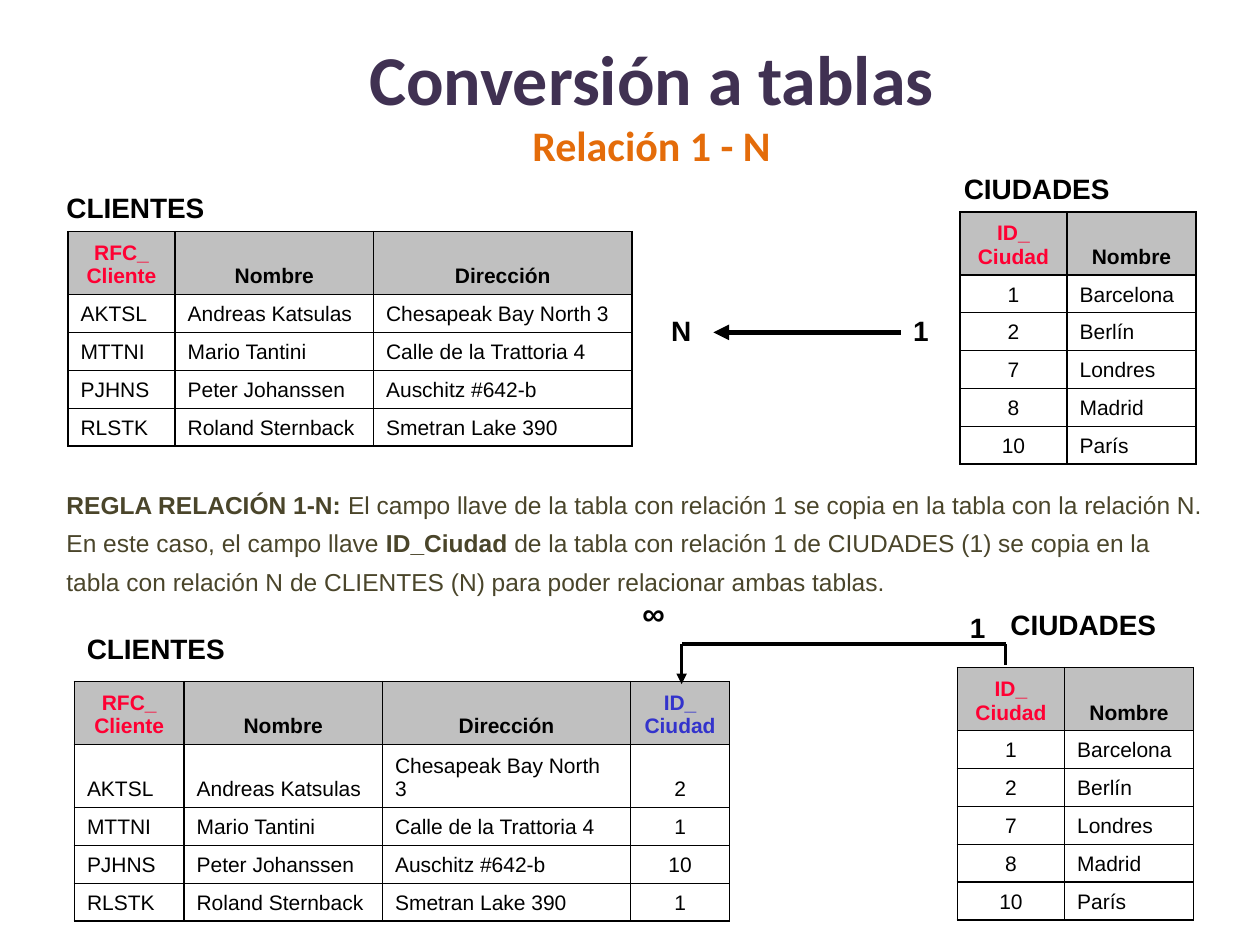
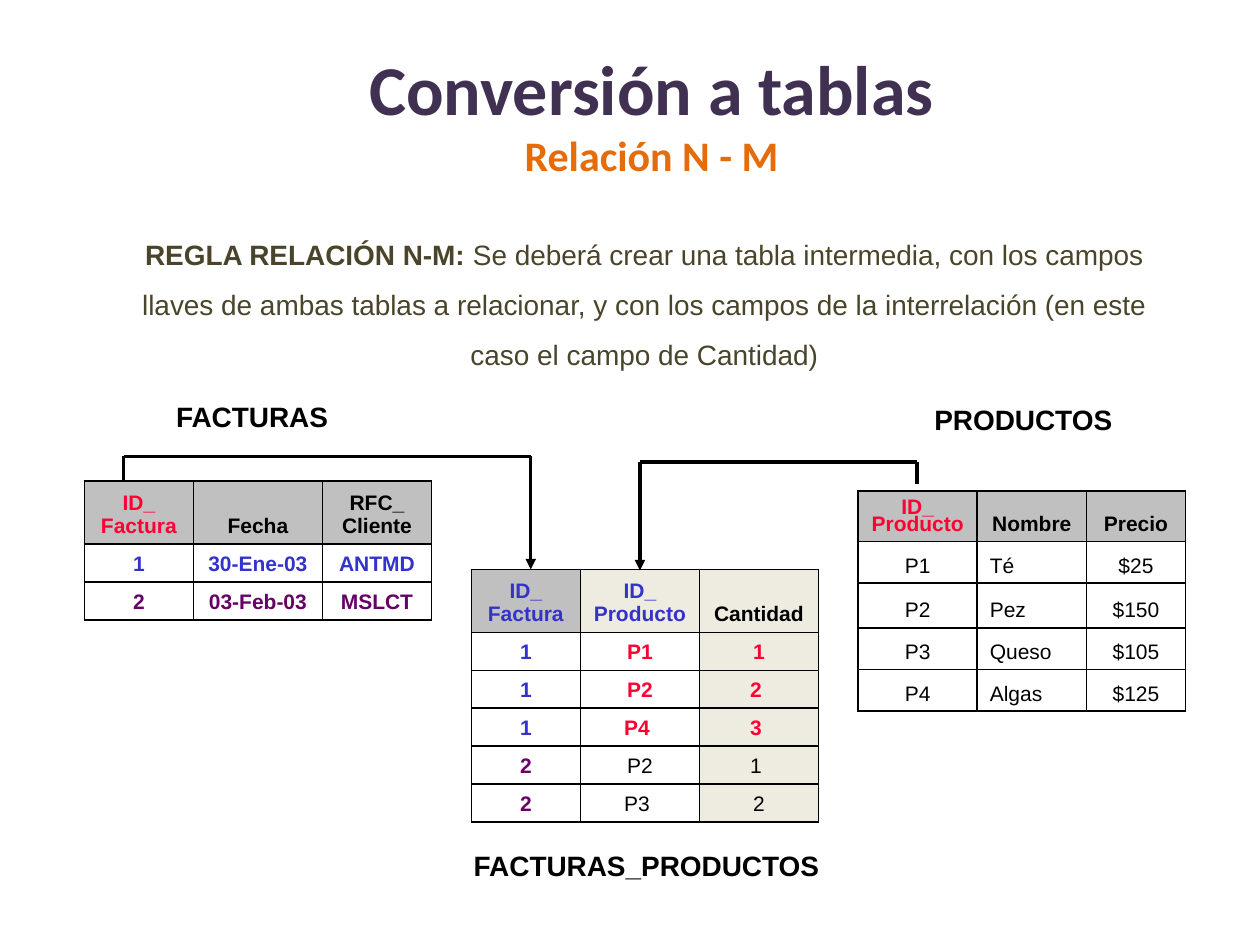
import itertools

import pptx
import pptx.dml.color
import pptx.enum.shapes
import pptx.enum.text
import pptx.oxml
import pptx.oxml.ns
import pptx.util

Cm = pptx.util.Cm
Pt = pptx.util.Pt

COLORS = {
    "title": "403152",
    "subtitle": "E46C0A",
    "rule": "4A452A",
    "text": "000000",
    "key": "FF0033",
    "foreign": "3333CC",
    "second": "660066",
    "header": "C0C0C0",
    "link": "EEECE1",
}
ALIGN = {
    "l": pptx.enum.text.PP_ALIGN.LEFT,
    "c": pptx.enum.text.PP_ALIGN.CENTER,
}
CLIENTS_HEADER = [("RFC_\nCliente", "key"), "Nombre", "Dirección"]
CLIENTS = [
    ["AKTSL", "Andreas Katsulas", "Chesapeak Bay North 3"],
    ["MTTNI", "Mario Tantini", "Calle de la Trattoria 4"],
    ["PJHNS", "Peter Johanssen", "Auschitz #642-b"],
    ["RLSTK", "Roland Sternback", "Smetran Lake 390"],
]
CLIENT_CITIES = ["2", "1", "10", "1"]
CITIES_HEADER = [("ID_\nCiudad", "key"), "Nombre"]
CITIES = [["1", "Barcelona"], ["2", "Berlín"], ["7", "Londres"], ["8", "Madrid"], ["10", "París"]]
CITIES_WIDTHS = [2.16, 2.6]


def rgb(name):
    """Return the named colour."""
    return pptx.dml.color.RGBColor.from_string(COLORS[name])


def style_font(font, size, color, bold, name="Arial"):
    """Set the face, size, colour and weight of a font."""
    font.name, font.size, font.bold = name, Pt(size), bold
    font.color.rgb = rgb(color)


def add_box(s, x, y, w, h):
    """Add a wrapping text box and return its text frame."""
    tf = s.shapes.add_textbox(Cm(x), Cm(y), Cm(w), Cm(h)).text_frame
    tf.word_wrap = True
    return tf


def add_title(s, y, subtitle):
    """Add the shared title with its coloured second line."""
    tf = add_box(s, 2.34, y, 21.59, 3.07)
    tf.vertical_anchor = pptx.enum.text.MSO_ANCHOR.MIDDLE
    p = tf.paragraphs[0]
    p.alignment = ALIGN["c"]
    r = p.add_run()
    r.text = "Conversión a tablas"
    style_font(r.font, 40, "title", True, "Calibri")
    p.add_line_break()
    r = p.add_run()
    r.text = subtitle
    style_font(r.font, 24, "subtitle", True, "Calibri")


def add_label(s, x, y, w, text, size=16, align="l"):
    """Add a bold one-line label."""
    p = add_box(s, x, y, w, 0.94).paragraphs[0]
    p.text, p.alignment = text, ALIGN[align]
    style_font(p.font, size, "text", True)


def add_rule(s, x, y, w, h, parts, size, spacing, align="l"):
    """Add the rule text, whose parts alternate between bold and regular."""
    p = add_box(s, x, y, w, h).paragraphs[0]
    p.alignment, p.line_spacing = ALIGN[align], spacing
    for part, bold in zip(parts, itertools.cycle([True, False])):
        r = p.add_run()
        r.text = part
        style_font(r.font, size, "rule", bold)


def add_path(s, points, width=2):
    """Join points with straight lines and put an arrowhead on the last."""
    for start, end in itertools.pairwise(points):
        line = s.shapes.add_connector(
            pptx.enum.shapes.MSO_CONNECTOR.STRAIGHT, *map(Cm, start + end))
        line.line.color.rgb = rgb("text")
        line.line.width = Pt(width)
        pptx.oxml.ns.qn("a:effectLst")
        props = line._element.spPr
        props.append(pptx.oxml.parse_xml(
            f'<a:effectLst {pptx.oxml.ns.nsdecls("a")}/>'))
    line.line._get_or_add_ln().append(pptx.oxml.parse_xml(
        f'<a:tailEnd {pptx.oxml.ns.nsdecls("a")} type="triangle"/>'))


def add_borders(cell):
    """Draw a thin line on every side of a cell."""
    for side in "LRTB":
        cell._tc.get_or_add_tcPr().append(pptx.oxml.parse_xml(
            f'<a:ln{side} {pptx.oxml.ns.nsdecls("a")} w="12700"><a:solidFill>'
            f'<a:srgbClr val="{COLORS["text"]}"/></a:solidFill></a:ln{side}>'))


def fill_cell(cell, content, bold, align, fill, spacing):
    """Write one cell; a (text, colour) pair is bold and coloured."""
    text, color = content, "text"
    if isinstance(content, tuple):
        text, color = content
        bold = True
    cell.vertical_anchor = pptx.enum.text.MSO_ANCHOR.BOTTOM
    add_borders(cell)
    if fill:
        cell.fill.solid()
        cell.fill.fore_color.rgb = rgb(fill)
    else:
        cell.fill.background()
    cell.text_frame.text = text
    for p in cell.text_frame.paragraphs:
        p.alignment, p.line_spacing = ALIGN[align], spacing
        style_font(p.font, 12, color, bold)


def add_grid(s, x, y, widths, heights, rows, aligns, header_fills=None, body_fills=None, spacing=1.0):
    """Add a bordered table whose first row is the header."""
    count = len(widths)
    header_fills = header_fills or ["header"] * count
    body_fills = body_fills or [None] * count
    table = s.shapes.add_table(len(rows), count, Cm(x), Cm(y),
                               Cm(sum(widths)), Cm(sum(heights))).table
    table.first_row = table.horz_banding = False
    for column, width in zip(table.columns, widths):
        column.width = Cm(width)
    for i, (row, height) in enumerate(zip(rows, heights)):
        table.rows[i].height = Cm(height)
        fills = body_fills if i else header_fills
        for j, content in enumerate(row):
            fill_cell(table.cell(i, j), content, i == 0,
                      aligns[j] if i else "c", fills[j], spacing)


def build_one_to_many(s):
    """Build the 1 - N slide."""
    add_title(s, 0.53, "Relación 1 - N")
    add_grid(s, 1.37, 4.67, [2.16, 4, 5.21], [1.2] + [0.73] * 4,
             [CLIENTS_HEADER] + CLIENTS, "lll")
    add_grid(s, 19.35, 4.27, CITIES_WIDTHS, [1.2] + [0.73] * 5,
             [CITIES_HEADER] + CITIES, "cl")
    add_label(s, 1.09, 3.71, 5.44, "CLIENTES")
    add_label(s, 19.18, 3.33, 3.96, "CIUDADES")
    add_path(s, [(18.16, 6.7), (14.38, 6.7)], 3)
    add_label(s, 18.16, 6.2, 0.64, "1")
    add_label(s, 13.28, 6.2, 1.07, "N")

    add_rule(s, 1.09, 9.58, 23.42, 2.59, [
        "REGLA RELACIÓN 1-N:",
        " El campo llave de la tabla con relación 1 se copia en la tabla con la relación N. "
        "En este caso, el campo llave ",
        "ID_Ciudad",
        " de la tabla con relación 1 de CIUDADES (1) se copia en la tabla con relación N "
        "de CLIENTES (N) para poder relacionar ambas tablas.",
    ], 14, 1.3)

    linked = [row + [city] for row, city in zip(CLIENTS, CLIENT_CITIES)]
    add_grid(s, 1.5, 13.74, [2.21, 4, 5, 2], [1.27] * 2 + [0.76] * 3,
             [CLIENTS_HEADER + [("ID_\nCiudad", "foreign")]] + linked, "lllc")
    add_grid(s, 19.3, 13.46, CITIES_WIDTHS, [1.27] + [0.76] * 5,
             [CITIES_HEADER] + CITIES, "cl")
    add_label(s, 1.5, 12.6, 5.44, "CLIENTES")
    add_label(s, 20.12, 12.12, 3.96, "CIUDADES")
    add_path(s, [(20.27, 13.41), (20.27, 12.98), (13.74, 12.98), (13.74, 13.79)])
    add_label(s, 12.7, 11.86, 1.47, "∞", 18)
    add_label(s, 19.3, 12.19, 0.64, "1")


def build_many_to_many(s):
    """Build the N - M slide."""
    add_title(s, 0.74, "Relación N - M")
    add_rule(s, 2.49, 4.32, 21, 3.33, [
        "REGLA RELACIÓN N-M: ",
        "Se deberá crear una tabla intermedia, con los campos llaves de ambas tablas a "
        "relacionar, y con los campos de la interrelación (en este caso el campo de Cantidad)",
    ], 16, 1.5, "c")
    add_grid(s, 17.3, 9.9, [2.4, 2.2, 2], [0.97, 0.84, 0.9, 0.84, 0.84], [
        [("ID_\nProducto", "key"), "Nombre", "Precio"],
        ["P1", "Té", "$25"],
        ["P2", "Pez", "$150"],
        ["P3", "Queso", "$105"],
        ["P4", "Algas", "$125"],
    ], "clc", spacing=0.75)
    invoices = [("1", "30-Ene-03", "ANTMD", "foreign"), ("2", "03-Feb-03", "MSLCT", "second")]
    add_grid(s, 1.7, 9.7, [2.2, 2.6, 2.2], [1.2, 0.73, 0.73],
             [[("ID_\nFactura", "key"), "Fecha", "RFC_\nCliente"]]
             + [[(text, color) for text in texts] for *texts, color in invoices], "ccc")
    add_grid(s, 9.5, 11.48, [2.2, 2.4, 2.4], [1.2] + [0.73] * 5, [
        [("ID_\nFactura", "foreign"), ("ID_\nProducto", "foreign"), "Cantidad"],
        [("1", "foreign"), ("P1", "key"), ("1", "key")],
        [("1", "foreign"), ("P2", "key"), ("2 ", "key")],
        [("1", "foreign"), ("P4 ", "key"), ("3 ", "key")],
        [("2", "second"), "P2", "1 "],
        [("2", "second"), "P3 ", "2"],
    ], "ccc", ["header", "link", "link"], [None, None, "link"])
    add_label(s, 3.3, 7.92, 5.44, "FACTURAS")
    add_label(s, 17.91, 8, 5.44, "PRODUCTOS", align="c")
    add_label(s, 9.3, 16.99, 8, "FACTURAS_PRODUCTOS")
    add_path(s, [(2.49, 9.7), (2.49, 9.2), (10.7, 9.2), (10.7, 11.48)])
    add_path(s, [(18.49, 9.75), (18.49, 9.31), (12.9, 9.31), (12.9, 11.5)])


def main():
    """Build and save the presentation."""
    prs = pptx.Presentation()
    prs.slide_width, prs.slide_height = Cm(25.4), Cm(19.05)
    for build in (build_one_to_many, build_many_to_many):
        build(prs.slides.add_slide(prs.slide_layouts[6]))
    prs.save("out.pptx")


if __name__ == "__main__":
    main()
